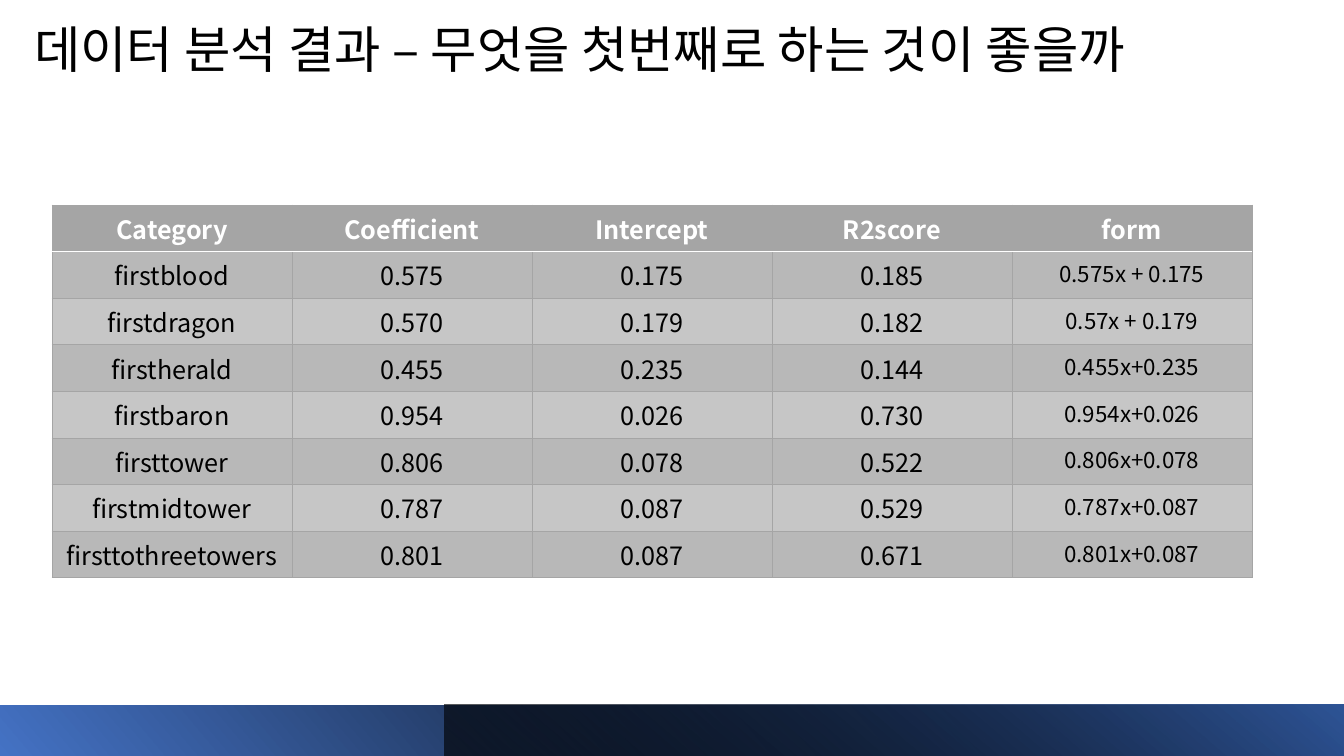
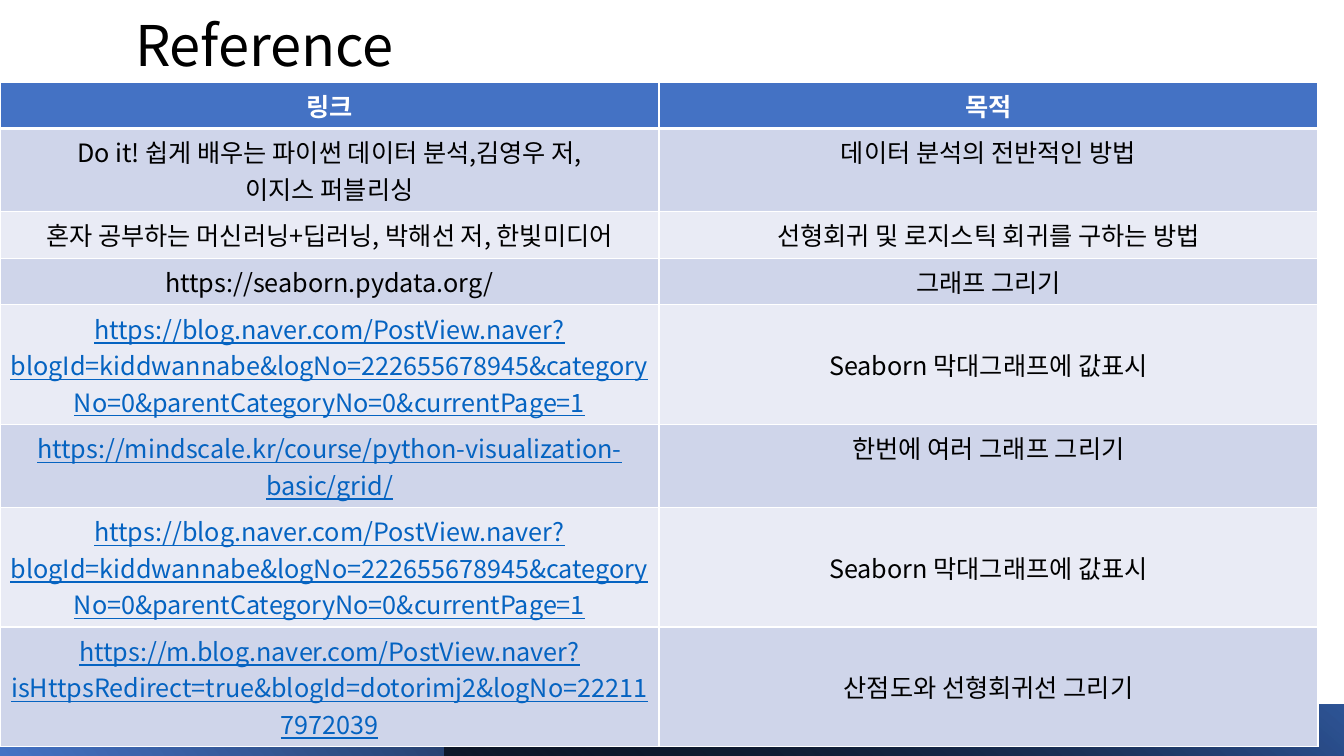
"""Build two slides: a table of regression results and a table of references."""
from lxml import etree
from pptx import Presentation
from pptx.dml.color import RGBColor
from pptx.enum.shapes import MSO_SHAPE
from pptx.enum.text import MSO_ANCHOR, MSO_AUTO_SIZE, PP_ALIGN
from pptx.oxml.ns import qn
from pptx.util import Emu, Pt

RECTANGLE = MSO_SHAPE.RECTANGLE
TOP, MIDDLE, BOTTOM = MSO_ANCHOR.TOP, MSO_ANCHOR.MIDDLE, MSO_ANCHOR.BOTTOM
LEFT, CENTER = PP_ALIGN.LEFT, PP_ALIGN.CENTER
NO_AUTOFIT = MSO_AUTO_SIZE.NONE

PX = 914400 / 100.8
WIDTH, HEIGHT = 1344, 756
FONT = "Noto Sans CJK KR"
COLORS = {
    "black": "000000",
    "white": "FFFFFF",
    "blue": "4472C4",
    "navy": "2F5597",
    "link": "0563C1",
    "gray": "A5A5A5",
    "gray_dark": "B8B8B8",
    "gray_light": "C6C6C6",
    "blue_dark": "CFD5EA",
    "blue_light": "E9EBF5",
}

PAGES = [
    {
        "title": "데이터 분석 결과 – 무엇을 첫번째로 하는 것이 좋을까",
        "title_left": 24, "title_width": 1322, "title_size": 36,
        "left": 52, "top": 205, "columns": [240] * 5, "heights": [46] * 8,
        "header": "gray", "bands": ["gray_dark", "gray_light"],
        "border": ("gray", 0.5), "header_rule": ("white", 1),
        "last_size": 16,
        "rows": [
            ["Category", "Coefficient", "Intercept", "R2score", "form"],
            ["firstblood", "0.575", "0.175", "0.185", "0.575x + 0.175"],
            ["firstdragon", "0.570", "0.179", "0.182", "0.57x + 0.179"],
            ["firstherald", "0.455", "0.235", "0.144", "0.455x+0.235"],
            ["firstbaron", "0.954", "0.026", "0.730", "0.954x+0.026"],
            ["firsttower", "0.806", "0.078", "0.522", "0.806x+0.078"],
            ["firstmidtower", "0.787", "0.087", "0.529", "0.787x+0.087"],
            ["firsttothreetowers", "0.801", "0.087", "0.671", "0.801x+0.087"],
        ],
    },
    {
        "title": "Reference",
        "title_left": 125, "title_width": 1068, "title_size": 40,
        "left": 0, "top": 82, "columns": [659] * 2,
        "heights": [46, 83, 46, 46, 119, 83, 119, 119],
        "header": "blue", "bands": ["blue_dark", "blue_light"],
        "border": ("white", 1), "header_rule": ("white", 3),
        "last_size": 18,
        "rows": [
            ["링크", "목적"],
            ["Do it! 쉽게 배우는 파이썬 데이터 분석,김영우 저,\n이지스 퍼블리싱",
             "데이터 분석의 전반적인 방법"],
            ["혼자 공부하는 머신러닝+딥러닝, 박해선 저, 한빛미디어",
             "선형회귀 및 로지스틱 회귀를 구하는 방법"],
            ["https://seaborn.pydata.org/", "그래프 그리기"],
            ["https://blog.naver.com/PostView.naver?blogId=kiddwannabe&logNo=222655678945"
             "&categoryNo=0&parentCategoryNo=0&currentPage=1",
             "Seaborn 막대그래프에 값표시"],
            ["https://mindscale.kr/course/python-visualization-basic/grid/",
             "한번에 여러 그래프 그리기"],
            ["https://blog.naver.com/PostView.naver?blogId=kiddwannabe&logNo=222655678945"
             "&categoryNo=0&parentCategoryNo=0&currentPage=1",
             "Seaborn 막대그래프에 값표시"],
            ["https://m.blog.naver.com/PostView.naver?isHttpsRedirect=true"
             "&blogId=dotorimj2&logNo=222117972039",
             "산점도와 선형회귀선 그리기"],
        ],
    },
]
LINK_ROWS = range(4, 8)

FOOTER_BANDS = [
    {"left": 0, "rotation": 180, "angle": 320, "opacity": 100,
     "stops": [(0, "blue"), (0.78, "black")]},
    {"left": 445, "rotation": 0, "angle": 130, "opacity": 63,
     "stops": [(0, "black"), (1, "navy")]},
]


def style_paragraph(para, size, color, align, bold=False, underline=False):
    para.alignment = align
    font = para.font
    font.name, font.size = FONT, Pt(size)
    font.bold, font.underline = bold, underline
    font.color.rgb = RGBColor.from_string(COLORS[color])
    properties = para._p.pPr.find(qn("a:defRPr"))
    etree.SubElement(properties, qn("a:ea"), typeface=FONT)


def set_borders(cell, borders):
    properties = cell._tc.get_or_add_tcPr()
    for index, (side, (color, width)) in enumerate(borders.items()):
        line = etree.Element(qn("a:ln" + side), w=str(Pt(width)))
        fill = etree.SubElement(line, qn("a:solidFill"))
        etree.SubElement(fill, qn("a:srgbClr"), val=COLORS[color])
        properties.insert(index, line)


deck = Presentation()
deck.slide_width, deck.slide_height = Emu(round(WIDTH * PX)), Emu(round(HEIGHT * PX))
title_only = deck.slide_layouts[5]

for content in PAGES:
    page = deck.slides.add_slide(title_only)

    title = page.shapes.title
    title.left, title.top = Emu(round(content["title_left"] * PX)), Emu(0)
    title.width, title.height = Emu(round(content["title_width"] * PX)), Emu(round(84 * PX))
    frame = title.text_frame
    frame.text = content["title"]
    frame.word_wrap = True
    frame.auto_size = NO_AUTOFIT
    frame.vertical_anchor = BOTTOM
    frame.paragraphs[0].line_spacing = 0.9
    style_paragraph(frame.paragraphs[0], content["title_size"], "black", LEFT)

    for band in FOOTER_BANDS:
        box = page.shapes.add_shape(
            RECTANGLE, Emu(round(band["left"] * PX)), Emu(round(705 * PX)),
            Emu(round((WIDTH - band["left"]) * PX)), Emu(round(51 * PX)))
        box.shadow.inherit = False
        box.line.fill.background()
        box.rotation = band["rotation"]
        box._element.spPr.xfrm.set("flipH", "1")
        box.fill.gradient()
        box.fill.gradient_angle = band["angle"]
        for stop, (position, color) in zip(box.fill.gradient_stops, band["stops"]):
            stop.position = position
            stop.color.rgb = RGBColor.from_string(COLORS[color])
        if band["opacity"] < 100:
            first_color = next(box._element.spPr.iter(qn("a:srgbClr")))
            etree.SubElement(first_color, qn("a:alpha"), val=str(band["opacity"] * 1000))

    rows, columns, heights = content["rows"], content["columns"], content["heights"]
    table = page.shapes.add_table(
        len(rows), len(columns),
        Emu(round(content["left"] * PX)), Emu(round(content["top"] * PX)),
        Emu(round(sum(columns) * PX)), Emu(round(sum(heights) * PX))).table
    table.horz_banding = False
    for column, width in zip(table.columns, columns):
        column.width = Emu(round(width * PX))

    for row, texts in enumerate(rows):
        table.rows[row].height = Emu(round(heights[row] * PX))
        is_header = row == 0
        fill = content["header"] if is_header else content["bands"][(row - 1) % 2]
        for column, text in enumerate(texts):
            cell = table.cell(row, column)
            cell.text = text
            is_last = column == len(columns) - 1
            is_link = text.startswith("https") and row in LINK_ROWS
            cell.vertical_anchor = MIDDLE if heights[row] > 100 else TOP
            cell.fill.solid()
            cell.fill.fore_color.rgb = RGBColor.from_string(COLORS[fill])
            borders = dict.fromkeys("LRTB", content["border"])
            if row < 2:
                borders["B" if is_header else "T"] = content["header_rule"]
            set_borders(cell, borders)
            size = content["last_size"] if is_last and not is_header else 18
            color = "white" if is_header else "link" if is_link else "black"
            for para in cell.text_frame.paragraphs:
                style_paragraph(para, size, color, CENTER, is_header, is_link)

deck.save("out.pptx")
